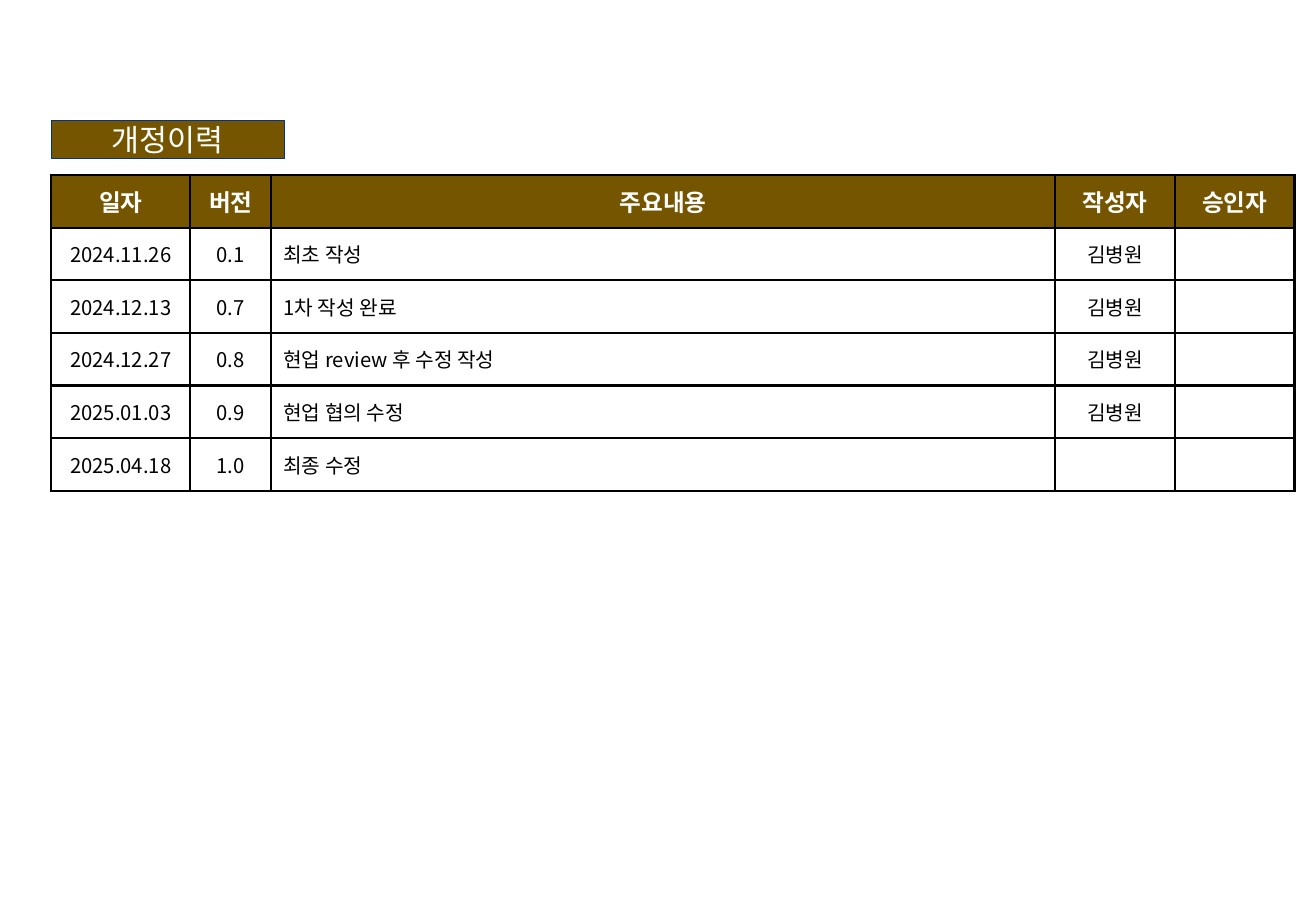
from dataclasses import dataclass

from lxml import etree
from pptx import Presentation
from pptx.dml.color import RGBColor
from pptx.enum.text import MSO_ANCHOR, MSO_AUTO_SIZE, PP_ALIGN
from pptx.oxml.ns import qn
from pptx.util import Cm, Pt

MIDDLE = MSO_ANCHOR.MIDDLE
NO_AUTOFIT = MSO_AUTO_SIZE.NONE
CENTER, LEFT = PP_ALIGN.CENTER, PP_ALIGN.LEFT


@dataclass(frozen=True)
class Theme:
    font: str = "Noto Sans CJK KR"
    brown: str = "755500"
    navy: str = "00338D"
    white: str = "FFFFFF"
    black: str = "000000"
    title_size: int = 18
    header_size: int = 14
    body_size: int = 12
    title_line: float = 0.75
    grid_line: float = 1.5


class RevisionSlide:
    def __init__(self, presentation, theme):
        self.theme = theme
        self.slide = presentation.slides.add_slide(presentation.slide_layouts[5])

    def label(self, frame, text, size, color, bold=False, align=CENTER):
        paragraph = frame.paragraphs[0]
        paragraph.text = text
        paragraph.alignment = align
        font = paragraph.font
        font.size = Pt(size)
        font.bold = bold
        font.color.rgb = RGBColor.from_string(color)
        font.name = self.theme.font
        defaults = paragraph._p.pPr.find(qn("a:defRPr"))
        etree.SubElement(defaults, qn("a:ea"), typeface=self.theme.font)

    def title(self, text, left, top, width, height):
        theme = self.theme
        heading = self.slide.shapes.title
        heading.left, heading.top = Cm(left), Cm(top)
        heading.width, heading.height = Cm(width), Cm(height)
        heading.fill.solid()
        heading.fill.fore_color.rgb = RGBColor.from_string(theme.brown)
        heading.line.color.rgb = RGBColor.from_string(theme.navy)
        heading.line.width = Pt(theme.title_line)
        frame = heading.text_frame
        frame.auto_size = NO_AUTOFIT
        frame.vertical_anchor = MIDDLE
        self.label(frame, text, theme.title_size, theme.white)

    def border(self, cell):
        properties = cell._tc.get_or_add_tcPr()
        for side in ("lnL", "lnR", "lnT", "lnB"):
            line = etree.SubElement(
                properties, qn(f"a:{side}"), w=str(Pt(self.theme.grid_line))
            )
            fill = etree.SubElement(line, qn("a:solidFill"))
            etree.SubElement(fill, qn("a:srgbClr"), val=self.theme.black)

    def table(self, rows, left, top, widths, row_height, left_column):
        theme = self.theme
        history = self.slide.shapes.add_table(
            len(rows), len(widths), Cm(left), Cm(top),
            Cm(sum(widths)), Cm(row_height * len(rows)),
        ).table
        history.horz_banding = False
        for column, width in zip(history.columns, widths):
            column.width = Cm(width)
        for r, values in enumerate(rows):
            history.rows[r].height = Cm(row_height)
            for c, value in enumerate(values):
                cell = history.cell(r, c)
                cell.vertical_anchor = MIDDLE
                self.border(cell)
                if r == 0:
                    cell.fill.solid()
                    cell.fill.fore_color.rgb = RGBColor.from_string(theme.brown)
                    self.label(cell.text_frame, value, theme.header_size,
                               theme.white, bold=True)
                else:
                    cell.fill.background()
                    self.label(cell.text_frame, value, theme.body_size, theme.black,
                               align=LEFT if c == left_column else CENTER)


def main():
    presentation = Presentation()
    presentation.slide_width, presentation.slide_height = Cm(27.51), Cm(19.05)
    revisions = [
        ("일자", "버전", "주요내용", "작성자", "승인자"),
        ("2024.11.26", "0.1", "최초 작성", "김병원", ""),
        ("2024.12.13", "0.7", "1차 작성 완료", "김병원", ""),
        ("2024.12.27", "0.8", "현업 review 후 수정 작성", "김병원", ""),
        ("2025.01.03", "0.9", "현업 협의 수정", "김병원", ""),
        ("2025.04.18", "1.0", "최종 수정", "", ""),
    ]
    page = RevisionSlide(presentation, Theme())
    page.title("개정이력", left=1.07, top=2.52, width=4.88, height=0.79)
    page.table(revisions, left=1.07, top=3.66,
               widths=(2.91, 1.69, 16.39, 2.5, 2.5), row_height=1.1, left_column=2)
    presentation.save("out.pptx")


if __name__ == "__main__":
    main()
